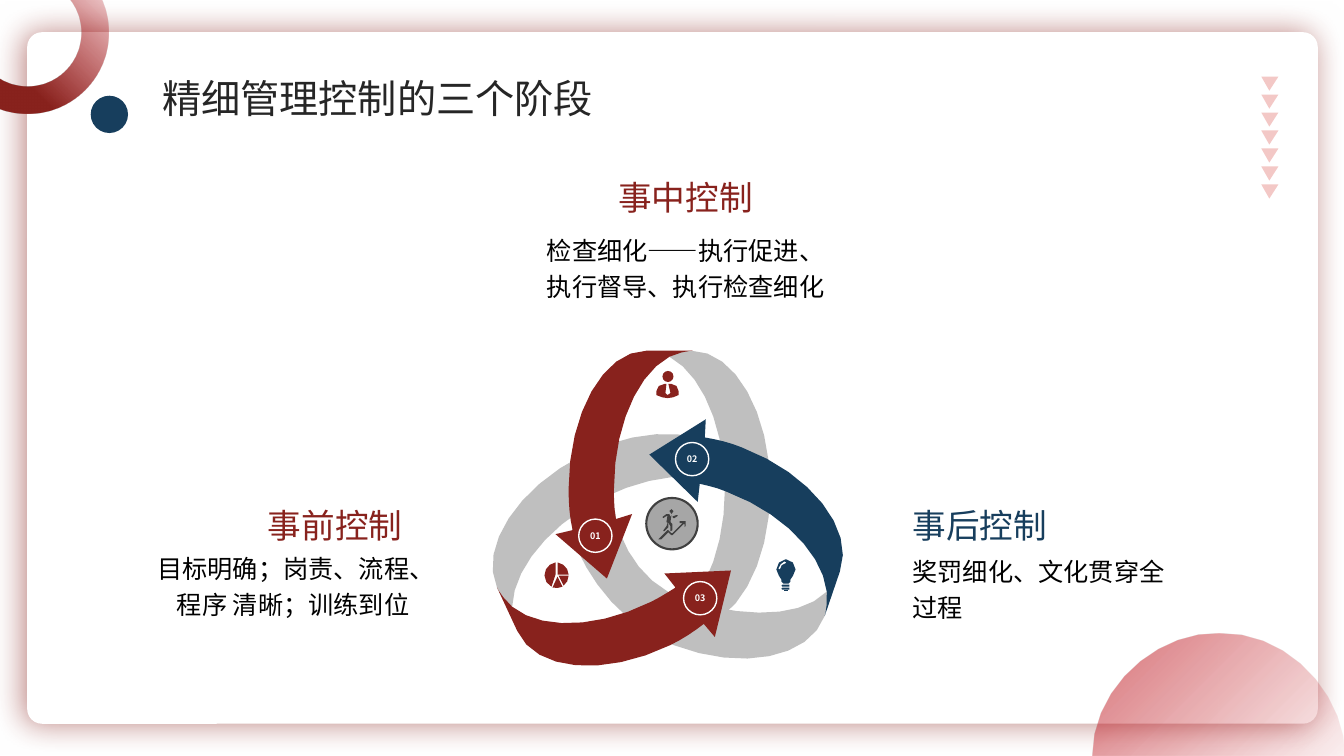
from itertools import pairwise
from math import dist, sqrt

from lxml.etree import SubElement
from pptx import Presentation
from pptx.dml.color import RGBColor
from pptx.enum.shapes import MSO_SHAPE
from pptx.enum.text import MSO_ANCHOR, PP_ALIGN
from pptx.oxml.ns import qn
from pptx.util import Pt

PX = 9144  # EMU per px, 100 px to the inch
FONT = "Noto Sans CJK SC"
RED = RGBColor(0x88, 0x22, 0x1D)
BRIGHT_RED = RGBColor(0xB9, 0x00, 0x0B)
PINK = RGBColor(0xF3, 0xC8, 0xC6)
NAVY = RGBColor(0x17, 0x3E, 0x5D)
BAND_GREY = RGBColor(0xBF, 0xBF, 0xBF)
HUB_GREY = RGBColor(0xA6, 0xA6, 0xA6)
DARK = RGBColor(0x40, 0x40, 0x40)
TITLE_INK = RGBColor(0x26, 0x26, 0x26)
BLACK = RGBColor(0, 0, 0)
WHITE = RGBColor(0xFF, 0xFF, 0xFF)

HALF_DISC = "M1084,750 C1084,683 1147,627 1209,629 1278,627 1333,690 1333,750"

RIBBONS = [
    (BAND_GREY, "M820,587 C794,613 740,613 683,596 633,581 611,532 609,501 603,507 567,518 567,526 "
                "568,543 600,614 668,640 736,666 803,653 818,611 821,603 821,595 820,587"),
    (BAND_GREY, "M686,348 C678,348 671,350 664,354 696,371 719,424 719,485 719,547 696,599 664,617 "
                "671,620 678,622 686,622 729,622 764,561 764,485 764,410 729,348 686,348"),
    (BAND_GREY, "M493,583 C497,591 502,597 508,602 509,565 545,520 598,494 652,467 707,466 736,489 "
                "736,481 734,473 731,465 712,425 644,419 579,451 513,484 475,543 493,583"),
    (RED, "M725,566 L659,569 670,583 C662,588 654,593 646,597 592,624 536,625 508,602 497,592 493,583 "
          "493,583 L513,626 C531,666 599,672 665,640 677,634 688,627 698,619 L709,632"),
    (NAVY, "M736,444 C724,439 711,436 699,434 L700,416 644,451 692,498 694,480 C703,482 712,484 721,488 "
           "777,509 816,550 820,587 821,602 818,611 818,611 L833,567 C848,525 804,470 736,444"),
    (RED, "M641,348 C599,348 564,410 564,485 564,500 565,513 568,526 L551,530 602,574 627,510 611,515 "
          "C609,505 609,496 609,485 609,424 632,371 664,354 677,348 687,348 687,348"),
]

ICONS = [
    # manager
    (RED, "M666,381 L663,381 665,390 662,392 660,390 661,381 659,381 C655,381 651,384 651,388 L651,392 "
          "C655,394 659,395 662,395 665,395 670,394 673,392 L673,388 C673,384 670,381 666,381"),
    # pie chart
    (RED, "M551,570 L551,558 C545,559 540,564 540,571 540,576 543,580 547,582"),
    (RED, "M553,570 L564,570 C564,564 559,559 553,558"),
    (RED, "M554,571 L559,581 C562,579 564,575 564,571"),
    (RED, "M553,572 L548,583 C552,584 555,583 558,582"),
    # light bulb
    (NAVY, "M783,580 L776,580 775,581 776,582 783,582"),
    (NAVY, "M783,583 L776,583 775,584 776,585 783,585"),
    (NAVY, "M782,585 L778,585 778,586 782,586"),
    (NAVY, "M780,555 L779,555 C774,555 770,560 770,565 770,570 775,573 775,575 L775,577 777,579 782,579 "
           "784,577 784,575 C784,573 789,570 789,565 789,560 785,555 780,555 "
           "M779,559 C776,559 774,562 774,564 L773,565 772,564 C773,561 775,558 778,557 L780,558"),
]

RUNNER = [
    # rising arrow
    "M680,518 L680,517 674,517 674,519 677,519 667,529 666,529 663,526 662,526 653,535 656,535 "
    "663,528 666,531 667,531 678,520 679,520 679,523 680,522",
    # back leg
    "M662,519 L661,522 658,526 658,527 659,527 663,523 663,520",
    # forearm
    "M667,513 L668,514 669,514 672,512 672,511 671,511 668,512 667,512",
    # head
    "M666,510 C667,510 668,508 668,507 668,506 667,505 666,505 665,505 664,506 664,507 "
    "664,509 665,510 666,510",
    # body
    "M658,514 L661,512 662,512 661,518 663,519 665,522 665,527 667,526 667,520 665,518 "
    "666,511 665,513 664,510 661,510 657,513",
]


def bezier(*knots):
    """Sample a cubic curve, with more points the longer it is."""
    length = sum(dist(p, q) for p, q in pairwise(knots))
    steps = max(1, round(0.6 * sqrt(length)))
    for i in range(1, steps + 1):
        t = i / steps
        u = 1 - t
        yield tuple(u**3 * a + 3 * u * u * t * b + 3 * u * t * t * c + t**3 * d
                    for a, b, c, d in zip(*knots))


def trace(contour):
    """Turn one contour of L and C segments into a list of points."""
    points, handles, mode = [], [], "L"
    for token in contour.replace("L", "L ").replace("C", "C ").split():
        if token in "LC":
            mode = token
            continue
        xy = tuple(int(v) for v in token.split(","))
        if mode == "L":
            points.append(xy)
            continue
        handles.append(xy)
        if len(handles) == 3:
            points.extend(bezier(points[-1], *handles))
            handles = []
    return points


def paint(sp, fill=None, line=None, weight=1):
    sp.shadow.inherit = False
    if fill is not None:
        sp.fill.solid()
        sp.fill.fore_color.rgb = fill
    if line is None:
        sp.line.fill.background()
    else:
        sp.line.color.rgb = line
        sp.line.width = Pt(weight)
    return sp


def add_outline(shapes, contours, fill=None):
    scaled = [[(x * PX, y * PX) for x, y in points] for points in contours]
    builder = shapes.build_freeform(*scaled[0][0], scale=1.0)
    for i, points in enumerate(scaled):
        if i:
            builder.move_to(*points[0])
        builder.add_line_segments(points[1:], close=True)
    return paint(builder.convert_to_shape(), fill)


def add_drawing(shapes, outline, fill=None):
    return add_outline(shapes, [trace(c) for c in outline.split("M")[1:]], fill)


def add_preset(shapes, kind, box, fill=None, line=None, weight=1):
    return paint(shapes.add_shape(kind, *(v * PX for v in box)), fill, line, weight)


def fade(sp, angle, stops):
    """Fill with a linear gradient of (position, colour, opacity) stops."""
    sp.fill.gradient()
    sp.fill.gradient_angle = angle
    for stop, (position, color, _) in zip(sp.fill.gradient_stops, stops):
        stop.position = position
        stop.color.rgb = color
    colors = list(sp.element.spPr.iter(qn("a:srgbClr")))
    for element, (_, _, opacity) in zip(colors, stops):
        SubElement(element, qn("a:alpha"), val=str(opacity * 1000))


def cast_shadow(sp, color, opacity):
    effects = sp.element.spPr.find(qn("a:effectLst"))
    shadow = SubElement(effects, qn("a:outerShdw"), blurRad=str(Pt(22)), dist=str(Pt(3)),
                        dir="10800000", algn="ctr", rotWithShape="0")
    clr = SubElement(shadow, qn("a:srgbClr"), val=str(color))
    SubElement(clr, qn("a:alpha"), val=str(opacity * 1000))


def write(sp, text, size, color, align=PP_ALIGN.LEFT, insets=(0, 0, 0, 0),
          anchor=MSO_ANCHOR.MIDDLE, spacing=None, bold=False, wrap=True):
    tf = sp.text_frame
    tf.text = text
    tf.word_wrap = wrap
    tf.vertical_anchor = anchor
    tf.margin_left, tf.margin_top, tf.margin_right, tf.margin_bottom = (v * PX for v in insets)
    p = tf.paragraphs[0]
    p.alignment = align
    if spacing:
        p.line_spacing = spacing
    r = p.runs[0]
    r.font.size, r.font.bold, r.font.name = Pt(size), bold, FONT
    r.font.color.rgb = color
    SubElement(r.font._element, qn("a:ea"), typeface=FONT)


def add_text(shapes, box, *args, **style):
    write(shapes.add_textbox(*(v * PX for v in box)), *args, **style)


def add_stage(slide, heading, head_box, color, body, body_box, **style):
    shapes = slide.shapes.add_group_shape().shapes
    add_text(shapes, head_box, heading, 24, color, **style)
    add_text(shapes, body_box, body, 18, BLACK, spacing=1.2, **style)


def add_backdrop(shapes):
    card = add_preset(shapes, MSO_SHAPE.ROUNDED_RECTANGLE, (28, 33, 1278, 684), WHITE, WHITE, 1.5)
    card.adjustments[0] = 0.02
    cast_shadow(card, RED, 54)
    ring = add_preset(shapes, MSO_SHAPE.DONUT, (-53, -48, 161, 161))
    ring.adjustments[0] = 0.17
    fade(ring, 45, [(0.34, RED, 100), (1, BRIGHT_RED, 0)])
    add_preset(shapes, MSO_SHAPE.OVAL, (90, 95, 37, 37), NAVY)
    fade(add_drawing(shapes, HALF_DISC), 315, [(0.02, BRIGHT_RED, 54), (1, BRIGHT_RED, 5)])
    tops = [76 + 107 * i / 6 for i in range(7)]
    add_outline(shapes, [[(1259, y + 14), (1251, y), (1268, y)] for y in tops], PINK)


def add_cycle(slide):
    shapes = slide.shapes.add_group_shape().shapes
    for color, outline in RIBBONS:
        add_drawing(shapes, outline, color)
    add_preset(shapes, MSO_SHAPE.OVAL, (657, 368, 11, 11), RED)
    for color, outline in ICONS:
        add_drawing(shapes, outline, color)
    add_preset(shapes, MSO_SHAPE.OVAL, (641, 494, 51, 51), HUB_GREY, DARK, 1.5)
    for outline in RUNNER:
        add_drawing(shapes, outline, DARK)
    badges = [(574, 515, RED), (670, 439, NAVY), (678, 577, RED)]
    for number, (x, y, color) in enumerate(badges, 1):
        badge = add_preset(shapes, MSO_SHAPE.OVAL, (x, y, 33, 33), color, WHITE)
        write(badge, f"{number:02}", 6.4, WHITE, PP_ALIGN.CENTER, (13, 7, 13, 7),
              bold=True, wrap=False)


def main():
    prs = Presentation()
    prs.slide_width, prs.slide_height = 1333 * PX, 750 * PX
    s = prs.slides.add_slide(prs.slide_layouts[6])
    add_backdrop(s.shapes)
    add_cycle(s)
    add_stage(s, "事后控制", (853, 504, 319, 34), NAVY,
              "奖罚细化、文化贯穿全过程", (853, 551, 319, 61), insets=(52, 0, 0, 0))
    add_stage(s, "事前控制", (176, 504, 286, 34), RED,
              "目标明确；岗责、流程、程序 清晰；训练到位", (142, 548, 327, 61),
              align=PP_ALIGN.RIGHT, insets=(0, 0, 63, 0))
    add_stage(s, "事中控制", (537, 176, 286, 34), RED,
              "检查细化——执行促进、执行督导、执行检查细化", (537, 227, 286, 86),
              align=PP_ALIGN.CENTER, anchor=MSO_ANCHOR.TOP)
    add_text(s.shapes, (151, 69, 524, 57), "精细管理控制的三个阶段", 28, TITLE_INK,
             insets=(10, 5, 10, 5), anchor=MSO_ANCHOR.TOP)
    prs.save("out.pptx")


if __name__ == "__main__":
    main()
